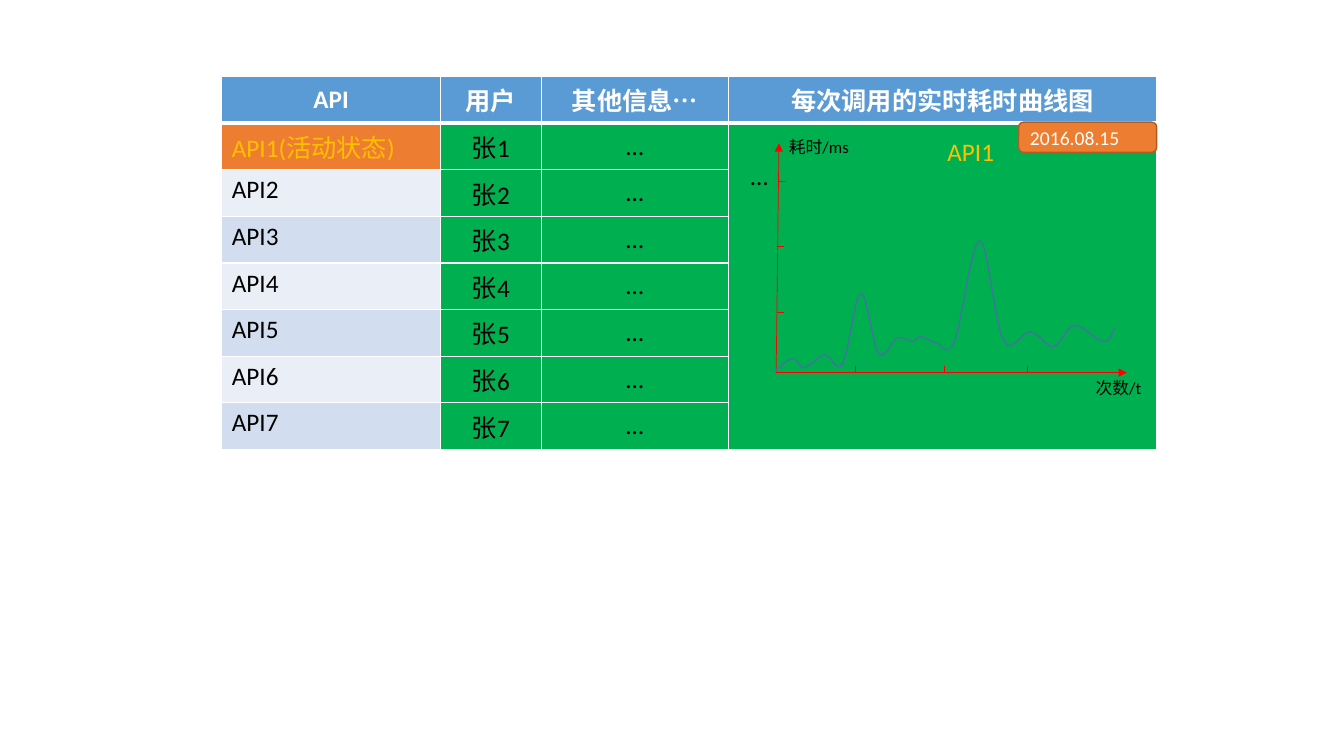
from lxml.etree import SubElement
from pptx import Presentation
from pptx.dml.color import RGBColor
from pptx.enum.shapes import MSO_CONNECTOR, MSO_SHAPE
from pptx.enum.text import MSO_ANCHOR, PP_ALIGN
from pptx.oxml import parse_xml
from pptx.oxml.ns import nsdecls, qn
from pptx.util import Cm, Pt

FONT = "Calibri"
WHITE = RGBColor(0xFF, 0xFF, 0xFF)
BLACK = RGBColor(0, 0, 0)
BLUE = RGBColor(0x5B, 0x9B, 0xD5)
PALE = RGBColor(0xEA, 0xEF, 0xF7)
MIST = RGBColor(0xD2, 0xDE, 0xEF)
GREEN = RGBColor(0x00, 0xB0, 0x50)
ORANGE = RGBColor(0xED, 0x7D, 0x31)
RUST = RGBColor(0xAF, 0x5C, 0x24)
GOLD = RGBColor(0xFF, 0xC0, 0x00)
RED = RGBColor(0xFF, 0, 0)
NAVY = RGBColor(0x43, 0x73, 0x9E)

HEADS = ["API", "用户", "其他信息…", "每次调用的实时耗时曲线图"]
APIS = ["API1(活动状态)"] + [f"API{n}" for n in range(2, 8)]
WIDTHS = [5.51, 2.54, 4.72, 10.78]
ROW = 1.03

# Axes and ticks in cm: start, end
AXES = [((19.56, 9.39), (28.4, 9.39)), ((19.56, 9.39), (19.63, 3.61))]
TICK = 0.17
XTICKS = [21.56, 23.8, 25.88]
YTICKS = [(19.58, 7.87), (19.58, 6.2), (19.63, 4.57)]

# Text, left, top, width, height, size, colour, alignment
LABELS = [
    ("耗时/ms", 19.63, 3.33, 2.29, 0.76, 12, BLACK, PP_ALIGN.LEFT),
    ("次数/t", 27.36, 9.4, 1.83, 0.76, 12, BLACK, PP_ALIGN.LEFT),
    ("…", 18.67, 3.91, 1.14, 0.56, 18, BLACK, PP_ALIGN.LEFT),
    ("API1", 21.57, 3.32, 5.79, 1.02, 18, GOLD, PP_ALIGN.CENTER),
]

# Bezier pieces in cm: two handles and an end point each
START = (19.53, 9.35)
CURVE = [
    ((19.71, 9.19), (19.86, 9.04), (19.99, 9.04)),
    ((20.12, 9.02), (20.14, 9.3), (20.27, 9.27)),
    ((20.4, 9.25), (20.62, 8.97), (20.78, 8.94)),
    ((20.93, 8.92), (21.08, 9.42), (21.23, 9.17)),
    ((21.39, 8.92), (21.54, 7.42), (21.69, 7.39)),
    ((21.84, 7.34), (22.0, 8.71), (22.15, 8.92)),
    ((22.3, 9.09), (22.48, 8.56), (22.61, 8.51)),
    ((22.76, 8.46), (22.89, 8.61), (22.99, 8.61)),
    ((23.09, 8.61), (23.09, 8.48), (23.19, 8.48)),
    ((23.29, 8.48), (23.44, 8.61), (23.57, 8.64)),
    ((23.72, 8.66), (23.85, 9.04), (24.05, 8.61)),
    ((24.23, 8.2), (24.49, 6.07), (24.69, 6.07)),
    ((24.89, 6.07), (25.07, 8.2), (25.3, 8.59)),
    ((25.5, 8.97), (25.76, 8.33), (25.96, 8.36)),
    ((26.19, 8.38), (26.37, 8.76), (26.54, 8.74)),
    ((26.72, 8.71), (26.87, 8.23), (27.08, 8.2)),
    ((27.3, 8.18), (27.64, 8.61), (27.81, 8.61)),
    ((27.97, 8.64), (28.09, 8.26), (28.09, 8.26)),
]


def write(frame, text, size, color, align=PP_ALIGN.LEFT, bold=False):
    """Put one styled paragraph in a text frame."""
    frame.text = text
    para = frame.paragraphs[0]
    para.alignment = align
    for run in para.runs:
        run.font.name = FONT
        run.font.size = Pt(size)
        run.font.bold = bold
        run.font.color.rgb = color


def fill(item, color):
    """Give a cell or shape a solid fill."""
    item.fill.solid()
    item.fill.fore_color.rgb = color


def edge(cell, top, low):
    """Give a cell white borders, with top and low widths in points."""
    props = cell._tc.get_or_add_tcPr()
    sides = [("L", 1), ("R", 1), ("T", top), ("B", low)]
    for spot, (side, width) in enumerate(sides):
        props.insert(spot, parse_xml(
            f'<a:ln{side} {nsdecls("a")} w="{Pt(width)}"><a:solidFill>'
            f'<a:srgbClr val="{WHITE}"/></a:solidFill></a:ln{side}>'))


def put(cell, text, back, color=BLACK, mid=True, bold=False):
    """Fill a table cell and write its text."""
    fill(cell, back)
    align = PP_ALIGN.CENTER if mid else PP_ALIGN.LEFT
    cell.vertical_anchor = MSO_ANCHOR.MIDDLE if mid else MSO_ANCHOR.TOP
    write(cell.text_frame, text, 18, color, align, bold)


def grid(shapes):
    """Build the table of APIs and users."""
    rows = len(APIS) + 1
    table = shapes.add_table(rows, len(HEADS), Cm(5.59), Cm(1.93),
                             Cm(sum(WIDTHS)), Cm(ROW * rows)).table
    for col, width in zip(table.columns, WIDTHS):
        col.width = Cm(width)
    for row in table.rows:
        row.height = Cm(ROW)
    for c, head in enumerate(HEADS):
        put(table.cell(0, c), head, BLUE, WHITE, bold=True)
    for r, api in enumerate(APIS, 1):
        live = r == 1
        back = ORANGE if live else (MIST if r % 2 else PALE)
        put(table.cell(r, 0), api, back, GOLD if live else BLACK, mid=False)
        put(table.cell(r, 1), f"张{r}", GREEN)
        put(table.cell(r, 2), "…", GREEN)
    area = table.cell(1, 3)
    area.merge(table.cell(rows - 1, 3))
    fill(area, GREEN)
    for r in range(rows):
        for c in range(len(HEADS)):
            edge(table.cell(r, c), 3 if r == 1 else 1, 1 if r else 3)


def rule(shapes, start, end, arrow=False):
    """Draw a thin red line, with an arrowhead if wanted."""
    line = shapes.add_connector(MSO_CONNECTOR.STRAIGHT,
                                *(Cm(v) for v in start + end))
    line.line.color.rgb = RED
    line.line.width = Pt(0.5)
    if arrow:
        line.line._get_or_add_ln().append(
            parse_xml(f'<a:tailEnd {nsdecls("a")} type="triangle"/>'))
    line._element.spPr.append(parse_xml(f'<a:effectLst {nsdecls("a")}/>'))


def trace(shapes):
    """Draw the time curve, bending each straight piece into a Bezier."""
    pen = shapes.build_freeform(*(Cm(v) for v in START))
    pen.add_line_segments([(Cm(x), Cm(y)) for _, _, (x, y) in CURVE],
                          close=False)
    wave = pen.convert_to_shape()
    lines = list(wave._element.iter(qn("a:lnTo")))
    for line, piece in zip(lines, CURVE):
        line.remove(line[0])
        line.tag = qn("a:cubicBezTo")
        for x, y in piece:
            SubElement(line, qn("a:pt"), x=str(Cm(x) - wave.left),
                       y=str(Cm(y) - wave.top))
    wave.shadow.inherit = False
    wave.fill.background()
    wave.line.color.rgb = NAVY
    wave.line.width = Pt(1)


def plot(shapes):
    """Draw axes, ticks, curve and labels."""
    for start, end in AXES:
        rule(shapes, start, end, arrow=True)
    base = AXES[0][0][1]
    for x in XTICKS:
        rule(shapes, (x, base - TICK), (x, base))
    for x, y in YTICKS:
        rule(shapes, (x, y), (x + TICK, y))
    trace(shapes)
    for text, x, y, w, h, size, color, align in LABELS:
        box = shapes.add_textbox(Cm(x), Cm(y), Cm(w), Cm(h))
        box.text_frame.word_wrap = True
        write(box.text_frame, text, size, color, align)


def badge(shapes):
    """Add the date badge."""
    date = shapes.add_shape(MSO_SHAPE.ROUNDED_RECTANGLE, Cm(25.67), Cm(3.08),
                            Cm(3.48), Cm(0.76))
    date.shadow.inherit = False
    fill(date, ORANGE)
    date.line.color.rgb = RUST
    date.line.width = Pt(1)
    date.text_frame.vertical_anchor = MSO_ANCHOR.MIDDLE
    write(date.text_frame, "2016.08.15", 14, WHITE)


deck = Presentation()
deck.slide_width = Cm(33.87)
deck.slide_height = Cm(19.05)
slide = deck.slides.add_slide(deck.slide_layouts[6])
grid(slide.shapes)
plot(slide.shapes)
badge(slide.shapes)
deck.save("out.pptx")
